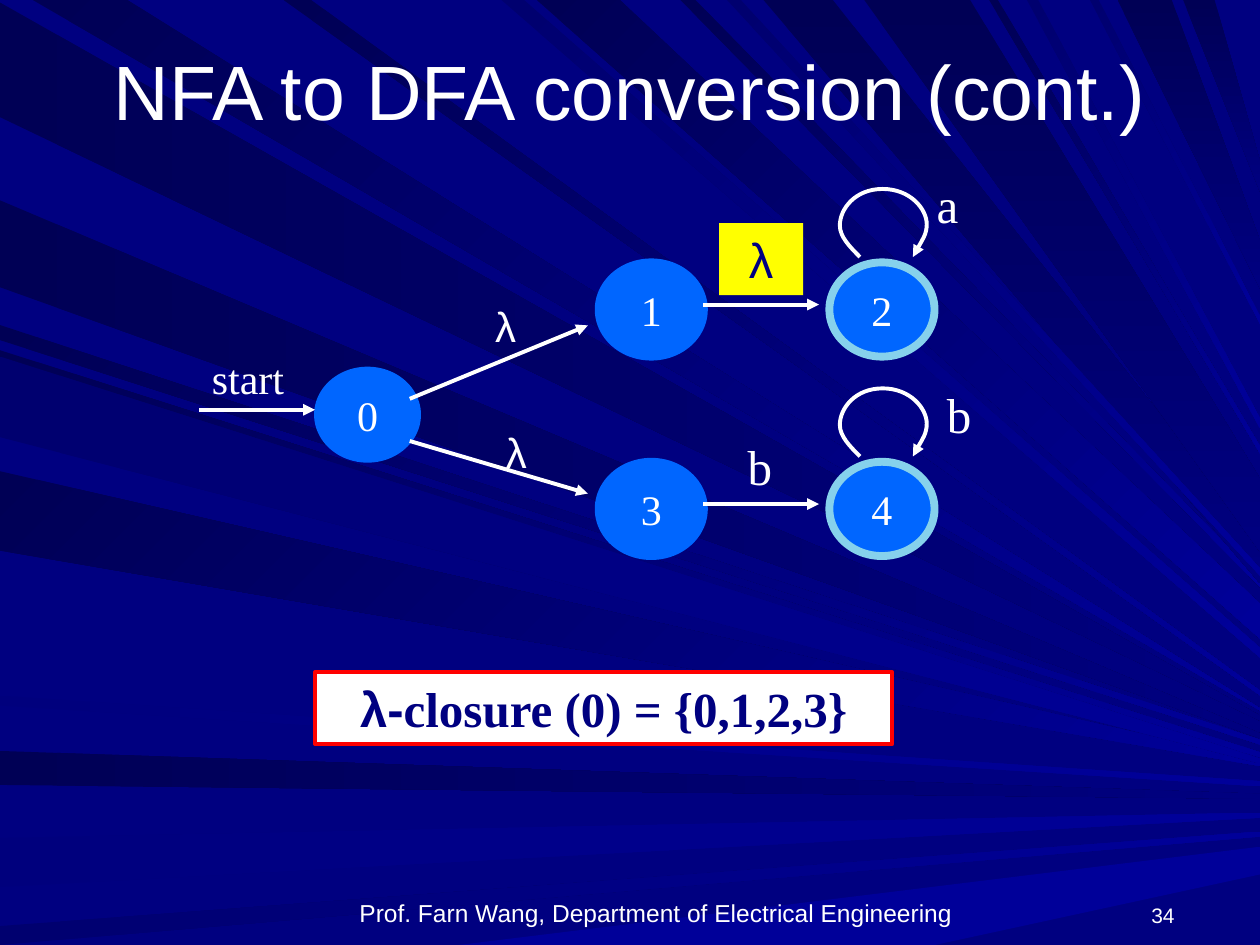
from lxml.etree import SubElement
from pptx import Presentation
from pptx.dml.color import RGBColor
from pptx.enum.shapes import MSO_CONNECTOR as Connector, MSO_SHAPE as Preset
from pptx.enum.text import MSO_ANCHOR as Anchor, PP_ALIGN as Align
from pptx.oxml.ns import qn
from pptx.util import Cm, Pt

COLORS = {
    "navy": "000080",
    "deep": "000055",
    "dusk": "00006F",
    "soft": "00007D",
    "blue": "000099",
    "white": "FFFFFF",
    "node": "0066FF",
    "accepting": "86D1EC",
    "red": "FF0000",
    "yellow": "FFFF00",
}
SANS, SERIF = "Arial", "Times New Roman"

# Freeform points are whole numbers, a hundredth of an inch each
UNIT = Cm(0.0254)
RIGHT, BOTTOM = 1000, 750

# Rays by side: colours, angle, then start and stop on that side and end on the right
RAYS = [
    ("left", "deep", "navy", 0, [(2, 93, 570), (596, 623, 632), (159, 228, 584)]),
    ("left", "soft", "blue", 0, [(665, 704, 647), (552, 560, 622)]),
    ("bottom", "blue", "blue", 0, [(364, 742, 683)]),
    ("top", "deep", "blue", 45, [(26, 101, 563), (426, 492, 493), (540, 552, 463)]),
    ("top", "dusk", "blue", 45, [(398, 416, 518)]),
    ("top", "deep", "navy", 90, [(606, 661, 446), (887, 930, 210), (939, 964, 140)]),
    ("left", "deep", "blue", 45, [(258, 270, 589), (278, 342, 599), (374, 437, 606)]),
    ("top", "deep", "blue", 45, [(225, 247, 550), (785, 792, 357)]),
    ("top", "deep", "navy", 90, [(686, 770, 409)]),
    ("top", "dusk", "blue", 45, [(577, 588, 454), (815, 824, 336), (865, 872, 254)]),
    ("left", "dusk", "blue", 0, [(735, 750, 662), (283, 347, 604)]),
]

# Self-loop: start point, then three points for each curve
LOOP = [
    (16, 54), (8, 46), (0, 38), (0, 29), (0, 16), (12, 0), (34, 0),
    (56, 0), (69, 16), (69, 28), (69, 36), (61, 48), (58, 54),
]


def rgb(name):
    return RGBColor.from_string(COLORS[name])


def write_text(shape, text, *, size, font=SERIF, color="white", bold=False,
               align=Align.LEFT, anchor=Anchor.TOP, wrap=True):
    """Add a run to the first paragraph of a shape."""
    frame = shape.text_frame
    frame.word_wrap = wrap
    frame.vertical_anchor = anchor
    paragraph = frame.paragraphs[0]
    paragraph.alignment = align
    run = paragraph.add_run()
    run.text = text
    run.font.size = Pt(size)
    run.font.name = font
    run.font.bold = bold
    run.font.color.rgb = rgb(color)


def add_label(slide, text, left, top, width, height, **text_format):
    box = slide.shapes.add_textbox(Cm(left), Cm(top), Cm(width), Cm(height))
    write_text(box, text, **text_format)


def add_filled(slide, preset, left, top, width, height, fill, line=None, line_width=0):
    shape = slide.shapes.add_shape(preset, Cm(left), Cm(top), Cm(width), Cm(height))
    shape.shadow.inherit = False
    shape.fill.solid()
    shape.fill.fore_color.rgb = rgb(fill)
    if line:
        shape.line.color.rgb = rgb(line)
        shape.line.width = Pt(line_width)
    else:
        shape.line.fill.background()
    return shape


def add_node(slide, text, left, top, ring="node", ring_width=4.5):
    node = add_filled(slide, Preset.OVAL, left, top, 2.12, 1.9, "node", ring, ring_width)
    write_text(node, text, size=24, align=Align.CENTER, anchor=Anchor.MIDDLE, wrap=False)


def ray_corners(side, start, stop, end):
    """Return the corners of a ray that narrows towards the right edge."""
    if side == "left":
        near, spread = [(0, stop), (0, start)], 4
    elif side == "top":
        near, spread = [(start, 0), (stop, 0)], (stop - start) * start / RIGHT
    else:
        near, spread = [(start, BOTTOM), (stop, BOTTOM)], 22
    far = [(RIGHT, end - spread / 2), (RIGHT, end + spread / 2)]
    return near + (far[::-1] if side == "bottom" else far)


def add_ray(shapes, corners, first, last, angle):
    builder = shapes.build_freeform(*corners[0], scale=UNIT)
    builder.add_line_segments(corners[1:], close=True)
    ray = builder.convert_to_shape()
    ray.shadow.inherit = False
    ray.line.fill.background()
    ray.fill.gradient()
    ray.fill.gradient_angle = -angle % 360
    for stop, color in zip(ray.fill.gradient_stops, (first, last)):
        stop.color.rgb = rgb(color)


def style_arrow(arrow):
    arrow.line.color.rgb = rgb("white")
    arrow.line.width = Pt(2.25)
    line = arrow.element.spPr.find(qn("a:ln"))
    SubElement(line, qn("a:tailEnd"), type="triangle")


def add_arrow(slide, x1, y1, x2, y2):
    arrow = slide.shapes.add_connector(Connector.STRAIGHT, Cm(x1), Cm(y1), Cm(x2), Cm(y2))
    style_arrow(arrow)
    SubElement(arrow.element.spPr, qn("a:effectLst"))


def add_loop(slide, left, top):
    builder = slide.shapes.build_freeform(*LOOP[0], scale=UNIT)
    builder.add_line_segments(LOOP[1:], close=False)
    loop = builder.convert_to_shape()
    loop.left, loop.top = Cm(left), Cm(top)
    loop.shadow.inherit = False
    loop.fill.background()
    style_arrow(loop)
    # Turn each three segments into one Bézier curve
    outline = next(loop.element.iter(qn("a:path")))
    segments = outline.findall(qn("a:lnTo"))
    for start in range(0, len(segments), 3):
        curve = SubElement(outline, qn("a:cubicBezTo"))
        for segment in segments[start:start + 3]:
            curve.append(segment[0])
            outline.remove(segment)


def main():
    presentation = Presentation()
    presentation.slide_width, presentation.slide_height = Cm(25.4), Cm(19.05)
    slide = presentation.slides.add_slide(presentation.slide_layouts[6])

    # Background
    slide.background.fill.solid()
    slide.background.fill.fore_color.rgb = rgb("navy")
    group = slide.shapes.add_group_shape()
    for side, first, last, angle, rays in RAYS:
        for ray in rays:
            add_ray(group.shapes, ray_corners(side, *ray), first, last, angle)

    # Title and footer
    add_label(slide, "NFA to DFA conversion (cont.)", 1.27, 0.76, 22.86, 2.11, size=44,
              font=SANS, align=Align.CENTER, anchor=Anchor.MIDDLE)
    add_label(slide, "Prof. Farn Wang, Department of Electrical Engineering", 4.65, 17.98,
              17.15, 0.84, size=14, font=SANS, align=Align.CENTER, anchor=Anchor.BOTTOM)
    add_label(slide, "34", 22.23, 17.98, 1.7, 0.84, size=12, font=SANS,
              align=Align.RIGHT, anchor=Anchor.BOTTOM)

    # Start state and its branches
    add_node(slide, "0", 6.35, 7.41, ring_width=1)
    add_arrow(slide, 4.02, 8.26, 6.35, 8.26)
    add_label(slide, "start", 4.02, 6.99, 1.96, 1.27, size=24, wrap=False)
    add_arrow(slide, 8.26, 8.04, 11.85, 6.56)
    add_arrow(slide, 8.26, 8.89, 11.85, 9.95)

    # Upper and lower rows: state, accepting state with loop
    for first, second, top in (("1", "2", 5.29), ("3", "4", 9.31)):
        add_node(slide, first, 12.07, top)
        add_node(slide, second, 16.72, top, ring="accepting")
        add_arrow(slide, 14.18, top + 0.85, 16.51, top + 0.85)
        add_loop(slide, 16.93, top - 1.48)

    # Transition labels
    for text, left, top in (("b", 14.82, 8.68), ("a", 18.63, 3.39), ("b", 18.84, 7.62)):
        add_label(slide, text, left, top, 1.06, 1.45, size=28)
    for left, top in ((9.73, 5.94), (9.95, 8.47)):
        add_label(slide, "λ", left, top, 0.97, 1.27, size=24, font=SANS, wrap=False)
    highlight = add_filled(slide, Preset.RECTANGLE, 14.5, 4.5, 1.69, 1.45, "yellow")
    write_text(highlight, "λ", size=28, font=SANS, color="navy", align=Align.CENTER)

    # Closure result
    closure = add_filled(slide, Preset.RECTANGLE, 6.35, 13.55, 11.64, 1.45, "white", "red", 2.25)
    for text, font in (("λ-", SANS), ("closure (0) = {0,1,2,3}", SERIF)):
        write_text(closure, text, size=28, font=font, color="navy", bold=True, align=Align.CENTER)

    presentation.save("out.pptx")


if __name__ == "__main__":
    main()
